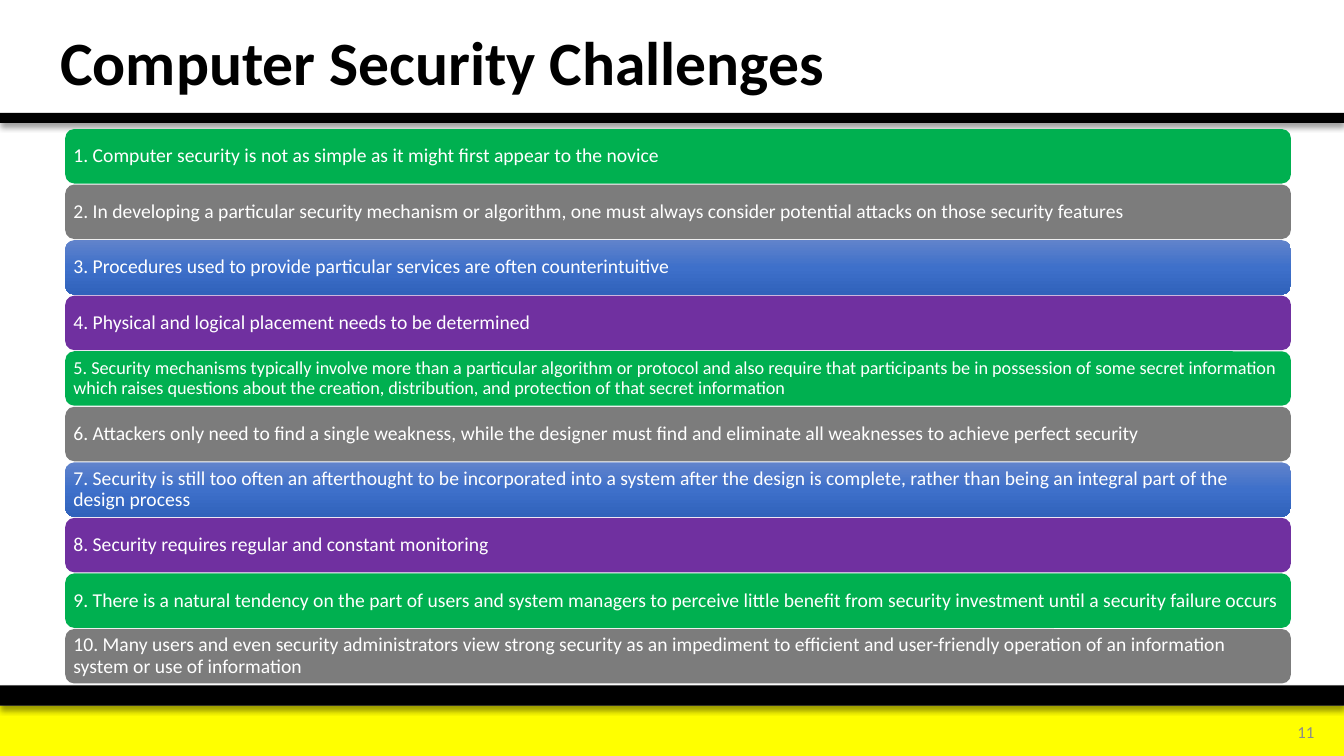
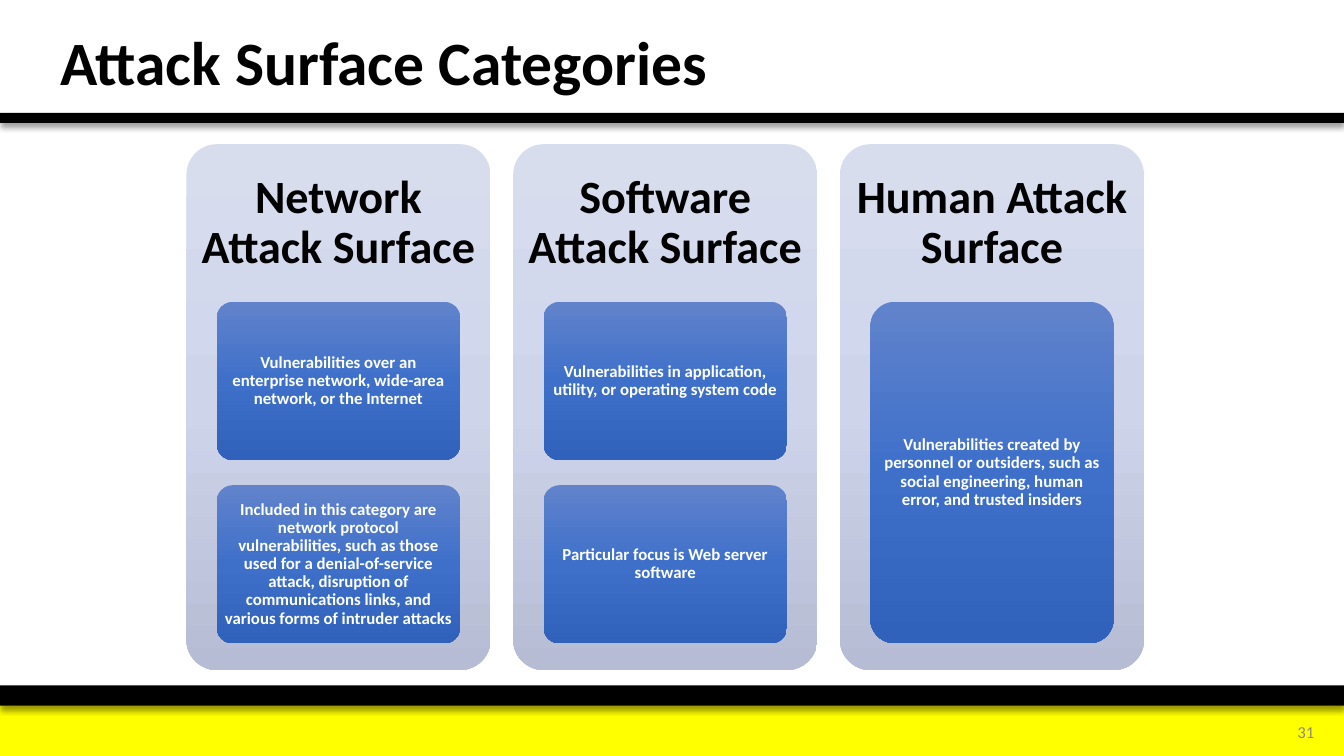
import copy

import pptx
import pptx.dml.color
import pptx.enum.shapes
import pptx.enum.text
import pptx.oxml
import pptx.oxml.ns
import pptx.util
from lxml import etree

Pt = pptx.util.Pt
SHAPE = pptx.enum.shapes.MSO_SHAPE
ALIGN = pptx.enum.text.PP_ALIGN
ANCHOR = pptx.enum.text.MSO_ANCHOR
qn = pptx.oxml.ns.qn

# Content
CHALLENGES_TITLE, CHALLENGES_NUMBER = "Computer Security Challenges", 11
CHALLENGES = [
    "Computer security is not as simple as it might first appear to the novice",
    "In developing a particular security mechanism or algorithm, one must always consider "
    "potential attacks on those security features",
    "Procedures used to provide particular services are often counterintuitive",
    "Physical and logical placement needs to be determined",
    "Security mechanisms typically involve more than a particular algorithm or protocol and "
    "also require that participants be in possession of some secret information which raises "
    "questions about the creation, distribution, and protection of that secret information",
    "Attackers only need to find a single weakness, while the designer must find and "
    "eliminate all weaknesses to achieve perfect security",
    "Security is still too often an afterthought to be incorporated into a system after the "
    "design is complete, rather than being an integral part of the design process",
    "Security requires regular and constant monitoring",
    "There is a natural tendency on the part of users and system managers to perceive little "
    "benefit from security investment until a security failure occurs",
    "Many users and even security administrators view strong security as an impediment to "
    "efficient and user-friendly operation of an information system or use of information",
]
SURFACES_TITLE, SURFACES_NUMBER = "Attack Surface Categories", 31
SURFACES = [
    ("Network Attack Surface", [
        "Vulnerabilities over an enterprise network, wide-area network, or the Internet",
        "Included in this category are network protocol vulnerabilities, such as those used "
        "for a denial-of-service attack, disruption of communications links, and various "
        "forms of intruder attacks",
    ]),
    ("Software Attack Surface", [
        "Vulnerabilities in application, utility, or operating system code",
        "Particular focus is Web server software",
    ]),
    ("Human Attack Surface", [
        "Vulnerabilities created by personnel or outsiders, such as social engineering, "
        "human error, and trusted insiders",
    ]),
]

# Shared look
FONT = "Calibri"
WIDTH, HEIGHT = 960, 540
COLORS = {
    "black": "000000", "white": "FFFFFF", "yellow": "FFFF00", "number": "8C8C8C",
    "green": "00B050", "gray": "7C7C7C", "purple": "7030A0",
}
GRADIENTS = {
    "blue": ("6183CB", "3E70CA", "3062BB"),
    "pale": ("D8DDEE", "CED5EB", "B5BCD3"),
}
BAR_FILLS = ["green", "gray", "blue", "purple"]


def rgb(name):
    return pptx.dml.color.RGBColor.from_string(COLORS.get(name, name))


def paint(shape, fill_name):
    """Fill with a plain colour or an even top-to-bottom gradient."""
    if fill_name not in GRADIENTS:
        shape.fill.solid()
        shape.fill.fore_color.rgb = rgb(fill_name)
        return
    colors = GRADIENTS[fill_name]
    shape.fill.gradient()
    shape.fill.gradient_angle = 270
    stop_list = shape._element.spPr.find(".//" + qn("a:gsLst"))
    stop_list.append(copy.deepcopy(stop_list[-1]))
    for index, stop in enumerate(shape.fill.gradient_stops):
        stop.position = index / (len(colors) - 1)
        stop.color.rgb = rgb(colors[index])


def add_block(page, kind, area, fill_name, corner=None):
    shape = page.shapes.add_shape(kind, *map(Pt, area))
    shape.shadow.inherit = False
    shape.line.fill.background()
    paint(shape, fill_name)
    if corner is not None:
        shape.adjustments[0] = corner
    return shape


def write(shape, text, size, color, bold=False, align=ALIGN.LEFT, inset=None, spacing=0.9):
    frame = shape.text_frame
    frame.word_wrap = True
    frame.vertical_anchor = ANCHOR.MIDDLE
    if inset is not None:
        frame.margin_left = frame.margin_right = Pt(inset)
        frame.margin_top = frame.margin_bottom = Pt(inset)
    para = frame.paragraphs[0]
    para.text = text
    para.alignment = align
    para.line_spacing = spacing
    font = para.font
    font.name, font.size, font.bold = FONT, Pt(size), bold
    font.color.rgb = rgb(color)


def add_text(page, area, text, size, color, **style):
    write(page.shapes.add_textbox(*map(Pt, area)), text, size, color, **style)


def drop_shadow(shape):
    effects = shape._element.spPr.find(qn("a:effectLst"))
    shadow = etree.SubElement(effects, qn("a:outerShdw"), blurRad=str(Pt(4)), dist=str(Pt(3)),
                              dir="5400000", algn="t", rotWithShape="0")
    color = etree.SubElement(shadow, qn("a:srgbClr"), val=COLORS["black"])
    etree.SubElement(color, qn("a:alpha"), val="40000")


def add_page(deck, title, number):
    """Blank page with the bands, the slide number and the title."""
    page = deck.slides.add_slide(deck.slide_layouts[6])
    add_block(page, SHAPE.RECTANGLE, (0, 504, WIDTH, 36), "yellow")
    for top, height in [(489.6, 14.4), (80.6, 7.2)]:
        drop_shadow(add_block(page, SHAPE.RECTANGLE, (0, top, WIDTH, height), "black"))
    add_text(page, (891, 508.5, 55, 28.8), str(number), 12, "number",
             align=ALIGN.RIGHT, spacing=1)
    add_text(page, (36, 6.5, 697, 80.6), title, 44, "black", bold=True)
    return page


def build_challenges(deck):
    page = add_page(deck, CHALLENGES_TITLE, CHALLENGES_NUMBER)
    left, top, width, height, pitch = 46.6, 92.2, 875.5, 38.9, 39.68
    for index, challenge in enumerate(CHALLENGES):
        bar = add_block(page, SHAPE.ROUNDED_RECTANGLE,
                        (left, top + index * pitch, width, height),
                        BAR_FILLS[index % len(BAR_FILLS)])
        size = 13 if len(challenge) > 200 else 14  # the longest text is set smaller
        write(bar, f"{index + 1}. {challenge}", size, "white", inset=4)


def build_surfaces(deck):
    page = add_page(deck, SURFACES_TITLE, SURFACES_NUMBER)
    left, top, width, height, pitch = 133.2, 103, 217.2, 375.6, 233.4
    heading_height = height * 0.3
    card_inset, card_top, card_area, card_gap = width * 0.1, 215.6, 243.9, 18
    for column, (heading, cards) in enumerate(SURFACES):
        x = left + column * pitch
        add_block(page, SHAPE.ROUNDED_RECTANGLE, (x, top, width, height), "pale", 0.1)
        add_text(page, (x, top, width, heading_height), heading, 33, "black",
                 bold=True, align=ALIGN.CENTER, inset=10)
        # Cards share the space under the heading equally
        card_height = (card_area - card_gap * (len(cards) - 1)) / len(cards)
        for row, text in enumerate(cards):
            y = card_top + row * (card_height + card_gap)
            card = add_block(page, SHAPE.ROUNDED_RECTANGLE,
                             (x + card_inset, y, width - 2 * card_inset, card_height),
                             "blue", 0.1)
            write(card, text, 12, "white", bold=True, align=ALIGN.CENTER, inset=2.4)


def main():
    deck = pptx.Presentation()
    deck.slide_width, deck.slide_height = Pt(WIDTH), Pt(HEIGHT)
    build_challenges(deck)
    build_surfaces(deck)
    deck.save("out.pptx")


if __name__ == "__main__":
    main()
